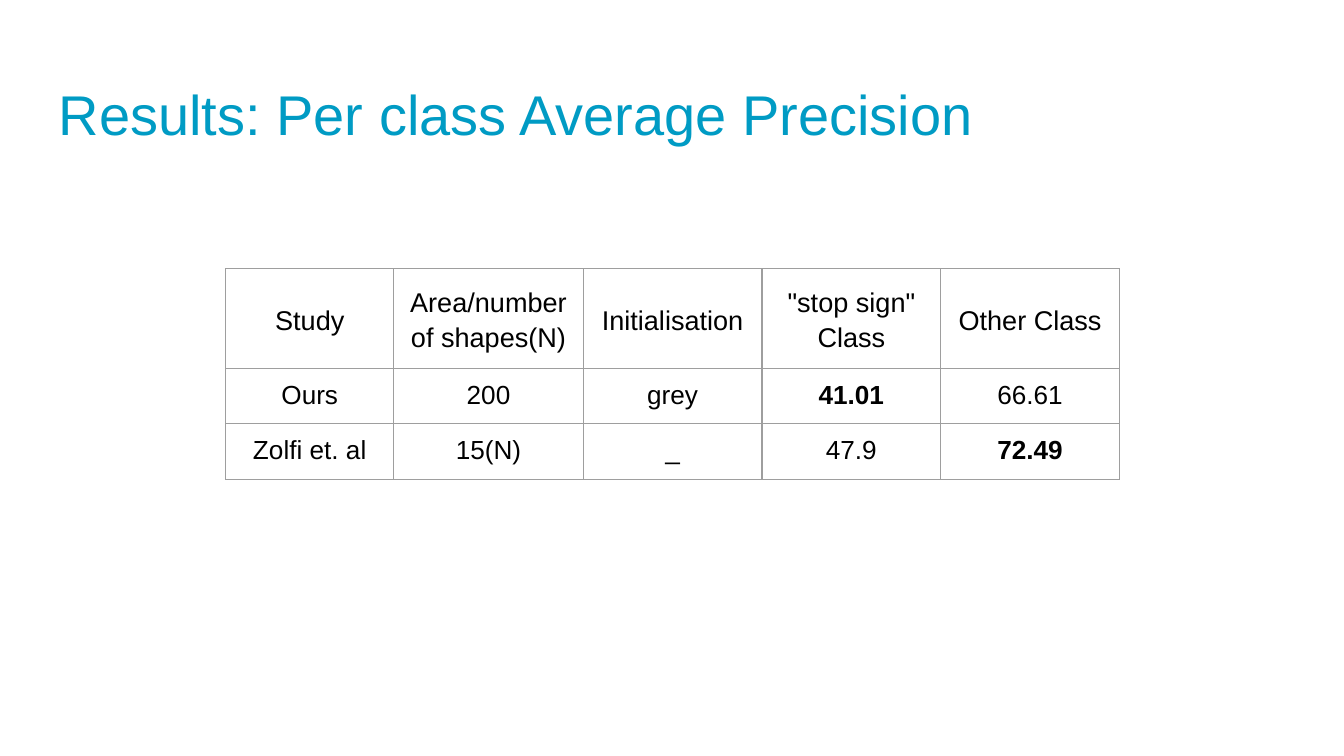
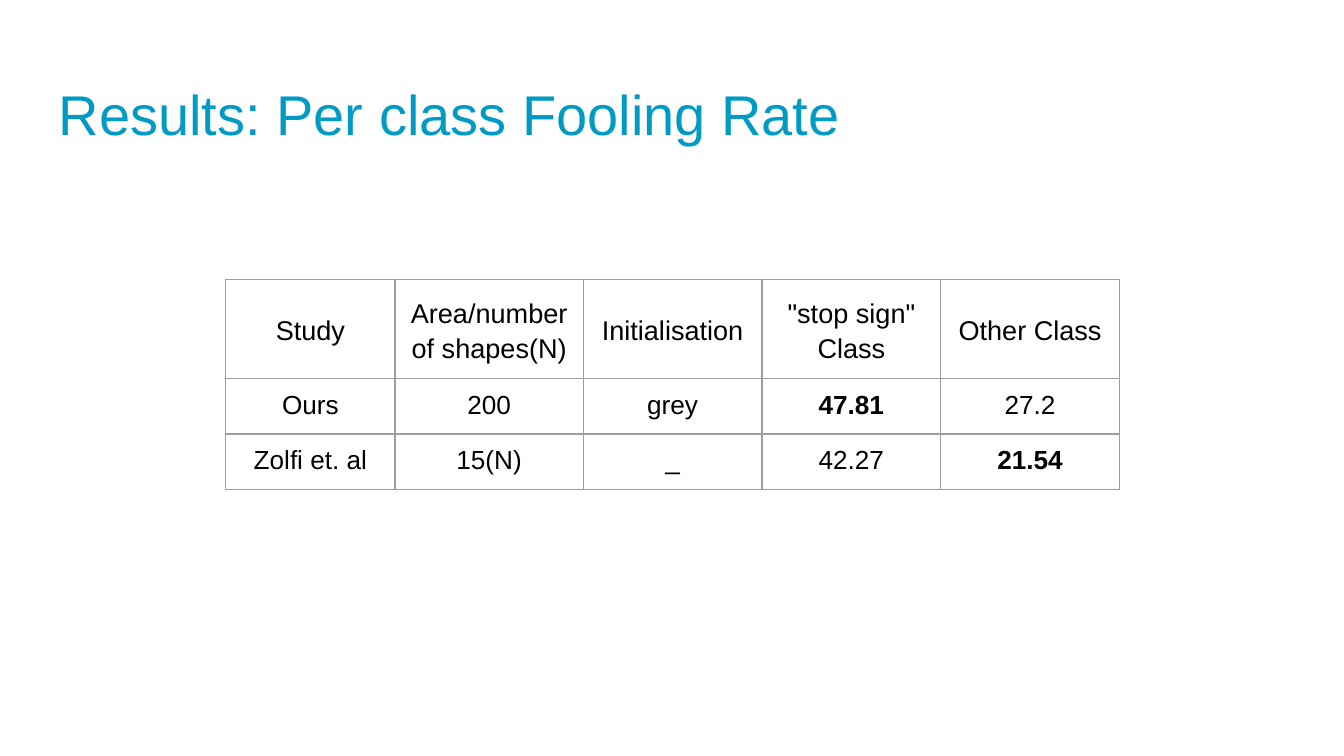
from dataclasses import dataclass

from lxml import etree
from pptx import Presentation
from pptx.dml.color import RGBColor
from pptx.enum.text import MSO_ANCHOR, PP_ALIGN
from pptx.oxml.ns import qn
from pptx.util import Inches, Pt

CENTER = PP_ALIGN.CENTER
TOP = MSO_ANCHOR.TOP
MIDDLE = MSO_ANCHOR.MIDDLE

COLORS = {"title": "009BC4", "text": "000000", "border": "9E9E9E"}
FONT = "Arial"
SLIDE_WIDTH = Inches(10)
SLIDE_HEIGHT = SLIDE_WIDTH * 9 // 16
MARGIN = Inches(0.1)
CELL_MARGIN = Inches(0.09)
BORDER_WIDTH = Pt(0.75)
BORDER_SIDES = ("a:lnL", "a:lnR", "a:lnT", "a:lnB")
TABLE_LEFT = 1.68
BODY_ROW_HEIGHT = 0.39
SCORE_COLUMN_WIDTH = 1.33
HEADERS = ("Study", "Area/number of shapes(N)", "Initialisation", '"stop sign" Class', "Other Class")
STUDIES = (("Ours", "200", "grey"), ("Zolfi et. al", "15(N)", "_"))
BOLD_CELLS = {(1, 3), (2, 4)}


@dataclass(frozen=True)
class ResultPage:
    title: str
    table_top: float
    header_height: float
    study_width: float
    area_width: float
    scores: tuple[tuple[str, str], ...]


RESULT_PAGES = (
    ResultPage("Results: Per class Average Precision", 2, 0.74, 1.25, 1.41,
               (("41.01", "66.61"), ("47.9", "72.49"))),
    ResultPage("Results: Per class Fooling Rate", 2.08, 0.72, 1.26, 1.4,
               (("47.81", "27.2"), ("42.27", "21.54"))),
)


def add_span(para, text: str, size: float, color: str, bold: bool = False) -> None:
    span = para.add_run()
    span.text = text
    span.font.name = FONT
    span.font.size = Pt(size)
    span.font.bold = bold
    span.font.color.rgb = RGBColor.from_string(COLORS[color])


def add_title(page, text: str) -> None:
    box = page.shapes.add_textbox(Inches(0.34), Inches(0.49), Inches(9.66), Inches(0.63))
    frame = box.text_frame
    frame.word_wrap = True
    frame.vertical_anchor = TOP
    frame.margin_left = frame.margin_right = MARGIN
    frame.margin_top = frame.margin_bottom = MARGIN
    add_span(frame.paragraphs[0], text, 30, "title")


def add_borders(cell) -> None:
    properties = cell._tc.get_or_add_tcPr()
    for side in BORDER_SIDES:
        line = etree.SubElement(properties, qn(side), w=str(BORDER_WIDTH))
        fill = etree.SubElement(line, qn("a:solidFill"))
        etree.SubElement(fill, qn("a:srgbClr"), val=COLORS["border"])


def fill_cell(cell, text: str, header: bool, bold: bool) -> None:
    cell.margin_left = cell.margin_right = MARGIN
    cell.margin_top = cell.margin_bottom = CELL_MARGIN
    cell.vertical_anchor = MIDDLE if header else TOP
    add_borders(cell)
    cell.fill.background()
    para = cell.text_frame.paragraphs[0]
    para.alignment = CENTER
    if header:
        para.line_spacing = 1.15
    add_span(para, text, 14.5 if header else 14, "text", bold)


def add_results(page, result: ResultPage) -> None:
    rows = [HEADERS, *(study + score for study, score in zip(STUDIES, result.scores))]
    widths = [result.study_width, result.area_width] + [SCORE_COLUMN_WIDTH] * 3
    heights = [result.header_height] + [BODY_ROW_HEIGHT] * len(STUDIES)
    table = page.shapes.add_table(
        len(rows), len(widths), Inches(TABLE_LEFT), Inches(result.table_top),
        Inches(sum(widths)), Inches(sum(heights)),
    ).table
    table.first_row = False
    table.horz_banding = False
    for column, width in zip(table.columns, widths):
        column.width = Inches(width)
    for row, height in zip(table.rows, heights):
        row.height = Inches(height)
    for row_index, texts in enumerate(rows):
        for column_index, text in enumerate(texts):
            position = (row_index, column_index)
            fill_cell(table.cell(*position), text, row_index == 0, position in BOLD_CELLS)


def main() -> None:
    deck = Presentation()
    deck.slide_width = SLIDE_WIDTH
    deck.slide_height = SLIDE_HEIGHT
    for result in RESULT_PAGES:
        page = deck.slides.add_slide(deck.slide_layouts[6])
        add_title(page, result.title)
        add_results(page, result)
    deck.save("out.pptx")


if __name__ == "__main__":
    main()
